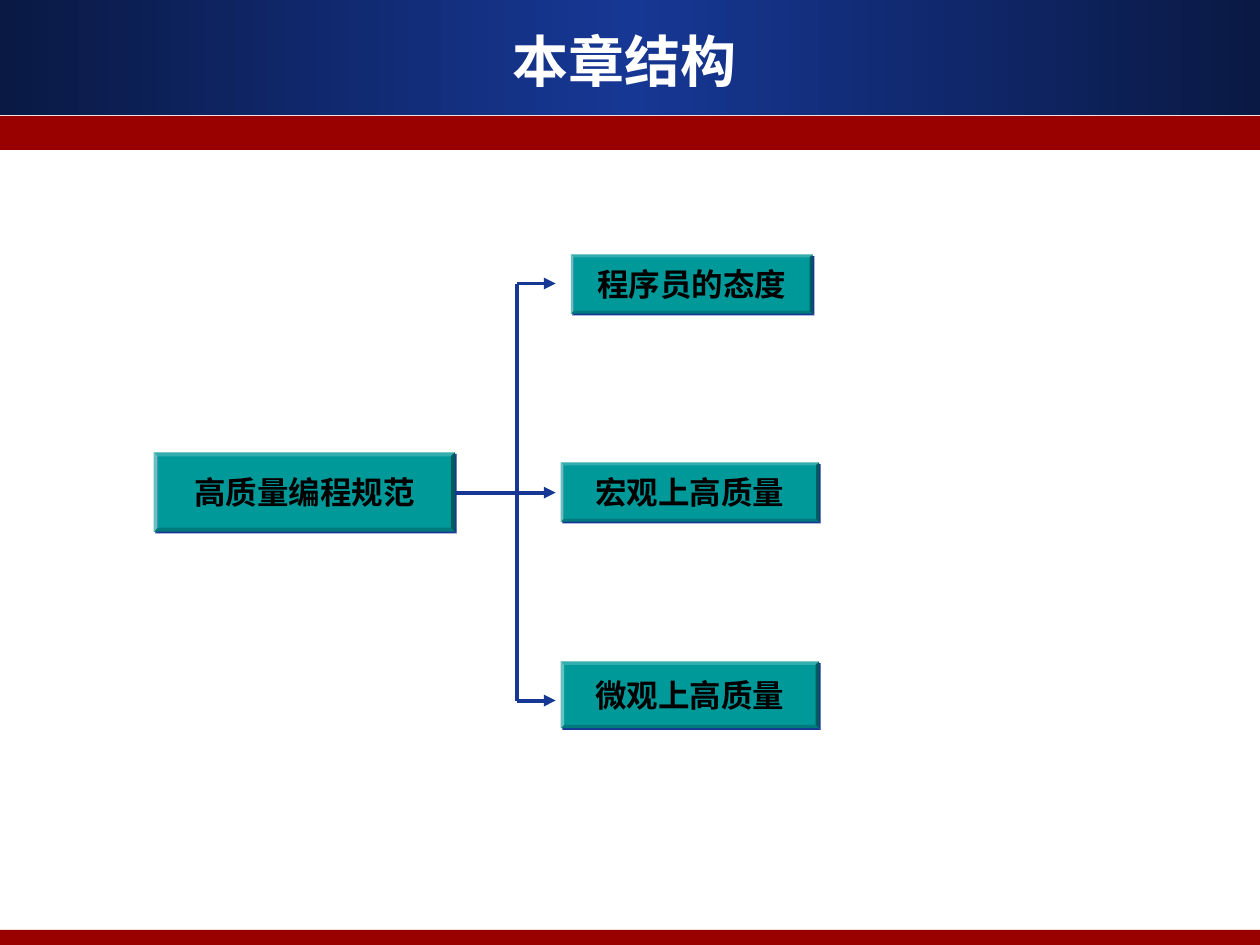
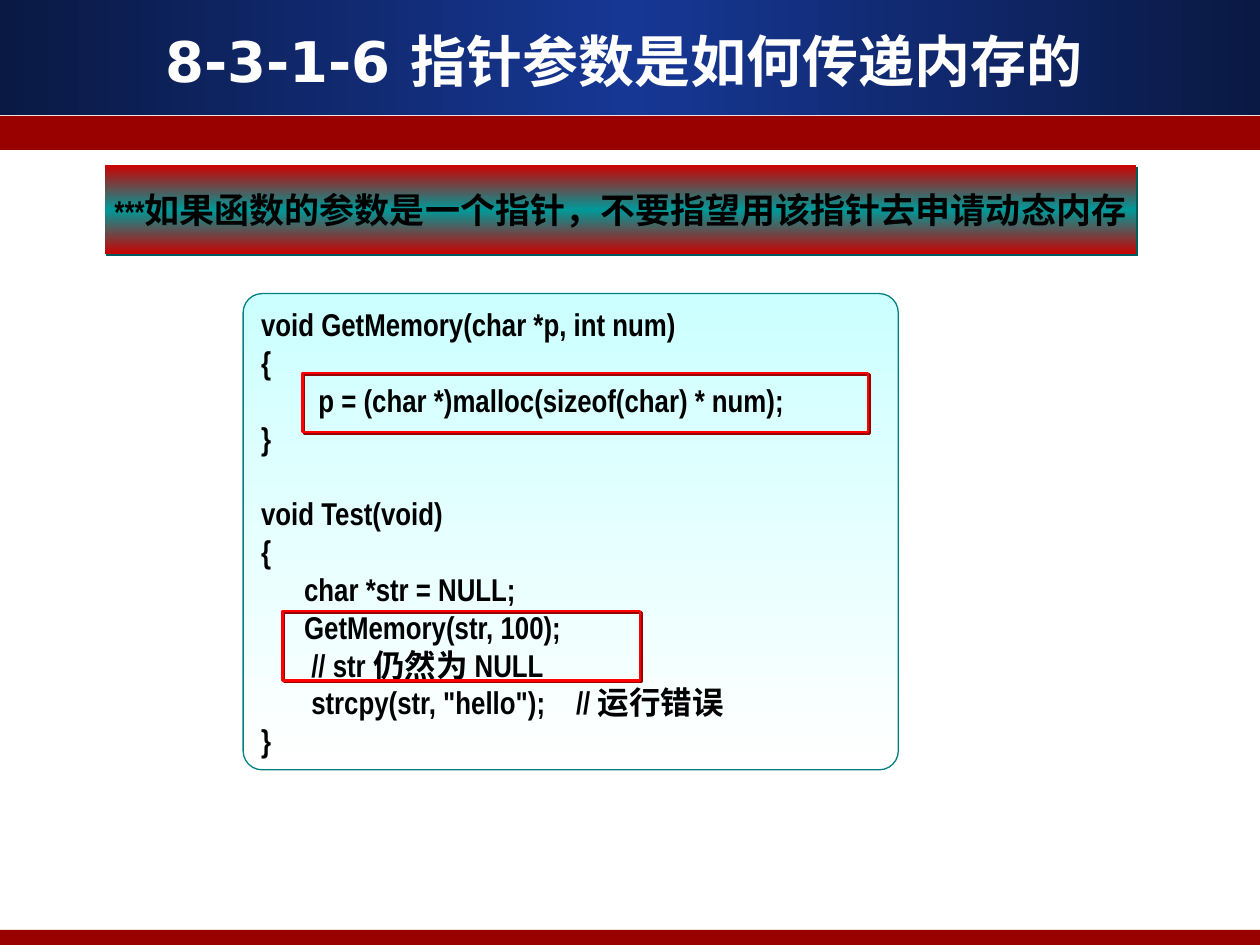
from dataclasses import dataclass
from typing import NamedTuple, Optional

from lxml import etree
from pptx import Presentation
from pptx import util as u
from pptx.dml.color import RGBColor
from pptx.enum import shapes, text
from pptx.oxml.ns import qn

PX = u.Inches(1) // 100
TITLE_ONLY = 5


@dataclass(frozen=True)
class Theme:
    white: str = "FFFFFF"
    black: str = "000000"
    navy: str = "0A1944"
    blue: str = "163794"
    maroon: str = "990000"
    teal: str = "009999"
    dark_teal: str = "005C5C"
    outline_teal: str = "008080"
    pale_cyan: str = "CCFFFF"
    crimson: str = "CC0000"
    red: str = "FF0000"
    title_font: str = "DejaVu Sans"
    body_font: str = "Arial Narrow"
    title_size: int = 32
    rule_size: int = 20
    body_size: int = 18
    code_gap: float = 21.6


THEME = Theme()


class Area(NamedTuple):
    left: int
    top: int
    width: int
    height: int

    def emu(self) -> list[int]:
        return [length * PX for length in self]


class Look(NamedTuple):
    """Surface of a shape: one fill colour is solid, several are a gradient."""
    fill: tuple[str, ...] = ()
    angle: int = 0
    line: Optional[str] = None
    line_width: float = 0
    shadow: Optional[str] = None


class Topic(NamedTuple):
    label: str
    area: Area


class Segment(NamedTuple):
    start: tuple[int, int]
    end: tuple[int, int]
    arrow: bool = False


NAVY_FADE = Look((THEME.navy, THEME.blue, THEME.navy))
MAROON = Look((THEME.maroon,))
BANDS = [
    (Area(0, 0, 1000, 91), NAVY_FADE),
    (Area(0, 92, 1000, 27), MAROON),
    (Area(0, 738, 1000, 12), MAROON),
]
TITLE_AREA = Area(33, 17, 925, 62)

TOPIC_LOOK = Look((THEME.teal,), shadow=THEME.blue)
TOPICS = [
    Topic("程序员的态度", Area(453, 202, 192, 47)),
    Topic("高质量编程规范", Area(122, 359, 239, 63)),
    Topic("微观上高质量", Area(445, 525, 205, 53)),
    Topic("宏观上高质量", Area(445, 367, 205, 47)),
]
TRUNK_X, BRANCH_TOP, BRANCH_MIDDLE, BRANCH_BOTTOM = 410, 225, 391, 556
SEGMENTS = [
    Segment((TRUNK_X, BRANCH_TOP), (TRUNK_X, BRANCH_BOTTOM)),
    Segment((362, BRANCH_MIDDLE), (TRUNK_X, BRANCH_MIDDLE)),
    *(Segment((TRUNK_X, y), (441, y), arrow=True)
      for y in (BRANCH_TOP, BRANCH_MIDDLE, BRANCH_BOTTOM)),
]

RULE_LOOK = Look((THEME.crimson, THEME.teal, THEME.crimson), angle=270, shadow=THEME.dark_teal)
CODE_LOOK = Look((THEME.pale_cyan, THEME.white), angle=270,
                 line=THEME.outline_teal, line_width=0.75)
HIGHLIGHT_LOOK = Look(line=THEME.red, line_width=1.5, shadow=THEME.maroon)
HIGHLIGHTS = [Area(240, 296, 449, 47), Area(224, 485, 284, 55)]
FUNCTIONS = [
    """void GetMemory(char *p, int num)
{
        p = (char *)malloc(sizeof(char) * num);
}""",
    """void Test(void)
{
      char *str = NULL;
      GetMemory(str, 100);
       // str 仍然为 NULL
       strcpy(str, "hello");\t// 运行错误
}""",
]


def paint_gradient(box, colours: tuple[str, ...], angle: int) -> None:
    box.fill.gradient()
    box.fill.gradient_angle = angle
    stops = box.element.spPr.find(".//" + qn("a:gsLst"))
    stops.clear()
    for index, colour in enumerate(colours):
        position = 100000 * index // (len(colours) - 1)
        stop = etree.SubElement(stops, qn("a:gs"), pos=str(position))
        etree.SubElement(stop, qn("a:srgbClr"), val=colour)


def add_shadow(box, colour: str) -> None:
    """Give the box a hard shadow towards the lower right."""
    effects = box.element.spPr.find(qn("a:effectLst"))
    shadow = etree.SubElement(effects, qn("a:outerShdw"), blurRad="0",
                              dist=str(u.Pt(1.4)), dir="2700000",
                              algn="ctr", rotWithShape="0")
    etree.SubElement(shadow, qn("a:srgbClr"), val=colour)


def add_box(page, kind: shapes.MSO_SHAPE, area: Area, look: Look,
            corner: Optional[float] = None):
    box = page.shapes.add_shape(kind, *area.emu())
    box.shadow.inherit = False
    if corner is not None:
        box.adjustments[0] = corner
    if len(look.fill) > 1:
        paint_gradient(box, look.fill, look.angle)
    elif look.fill:
        box.fill.solid()
        box.fill.fore_color.rgb = RGBColor.from_string(look.fill[0])
    else:
        box.fill.background()
    if look.line:
        box.line.color.rgb = RGBColor.from_string(look.line)
        box.line.width = u.Pt(look.line_width)
    else:
        box.line.fill.background()
    if look.shadow:
        add_shadow(box, look.shadow)
    return box


def style_font(font, size: int, name: str = THEME.body_font, colour: str = THEME.black) -> None:
    font.name = name
    font.size = u.Pt(size)
    font.bold = True
    font.color.rgb = RGBColor.from_string(colour)


def centre_text(frame) -> None:
    frame.vertical_anchor = text.MSO_ANCHOR.MIDDLE
    frame.paragraphs[0].alignment = text.PP_ALIGN.CENTER


def add_segment(page, segment: Segment) -> None:
    ends = [length * PX for length in segment.start + segment.end]
    line = page.shapes.add_connector(shapes.MSO_CONNECTOR.STRAIGHT, *ends)
    line.line.color.rgb = RGBColor.from_string(THEME.blue)
    line.line.width = u.Pt(2.25)
    if segment.arrow:
        etree.SubElement(line.line._get_or_add_ln(), qn("a:tailEnd"), type="triangle")
    etree.SubElement(line.element.spPr, qn("a:effectLst"))


def add_page(deck, title: str):
    page = deck.slides.add_slide(deck.slide_layouts[TITLE_ONLY])
    box = page.shapes.title
    box.left, box.top, box.width, box.height = TITLE_AREA.emu()
    box.text_frame.text = title
    centre_text(box.text_frame)
    style_font(box.text_frame.paragraphs[0].runs[0].font,
               THEME.title_size, THEME.title_font, THEME.white)
    return page


def move_bands_to_layout(page) -> None:
    """Draw the bands on the page, then hand them to its layout for all pages."""
    for area, look in BANDS:
        band = add_box(page, shapes.MSO_SHAPE.RECTANGLE, area, look)
        page.slide_layout.shapes.element.append(band.element)


def add_topic(page, topic: Topic) -> None:
    box = add_box(page, shapes.MSO_SHAPE.BEVEL, topic.area, TOPIC_LOOK, corner=0.05)
    frame = box.text_frame
    frame.word_wrap = False
    frame.text = topic.label
    centre_text(frame)
    style_font(frame.paragraphs[0].runs[0].font, THEME.body_size)


def add_rule(page) -> None:
    box = add_box(page, shapes.MSO_SHAPE.RECTANGLE, Area(83, 131, 819, 71), RULE_LOOK)
    frame = box.text_frame
    frame.word_wrap = False
    centre_text(frame)
    for words, size in (
        ("***", THEME.body_size),
        ("如果函数的参数是一个指针，不要指望用该指针去申请动态内存", THEME.rule_size),
    ):
        span = frame.paragraphs[0].add_run()
        span.text = words
        style_font(span.font, size)


def add_code(page) -> None:
    box = add_box(page, shapes.MSO_SHAPE.ROUNDED_RECTANGLE,
                  Area(193, 233, 520, 378), CODE_LOOK, corner=0.04)
    frame = box.text_frame
    frame.word_wrap = True
    frame.auto_size = text.MSO_AUTO_SIZE.SHAPE_TO_FIT_TEXT
    frame.vertical_anchor = text.MSO_ANCHOR.TOP
    frame.text = "\n".join(FUNCTIONS)
    for para in frame.paragraphs:
        para.alignment = text.PP_ALIGN.LEFT
        for span in para.runs:
            style_font(span.font, THEME.body_size)
    second_function = frame.paragraphs[len(FUNCTIONS[0].splitlines())]
    second_function.space_before = u.Pt(THEME.code_gap)


def build_structure_page(deck) -> None:
    page = add_page(deck, "本章结构")
    move_bands_to_layout(page)
    for topic in TOPICS:
        add_topic(page, topic)
    for segment in SEGMENTS:
        add_segment(page, segment)


def build_pointer_page(deck) -> None:
    page = add_page(deck, "8-3-1-6 指针参数是如何传递内存的")
    add_rule(page)
    add_code(page)
    for area in HIGHLIGHTS:
        add_box(page, shapes.MSO_SHAPE.RECTANGLE, area, HIGHLIGHT_LOOK)


def main() -> None:
    deck = Presentation()
    deck.slide_width, deck.slide_height = 1000 * PX, 750 * PX
    build_structure_page(deck)
    build_pointer_page(deck)
    deck.save("out.pptx")


if __name__ == "__main__":
    main()
